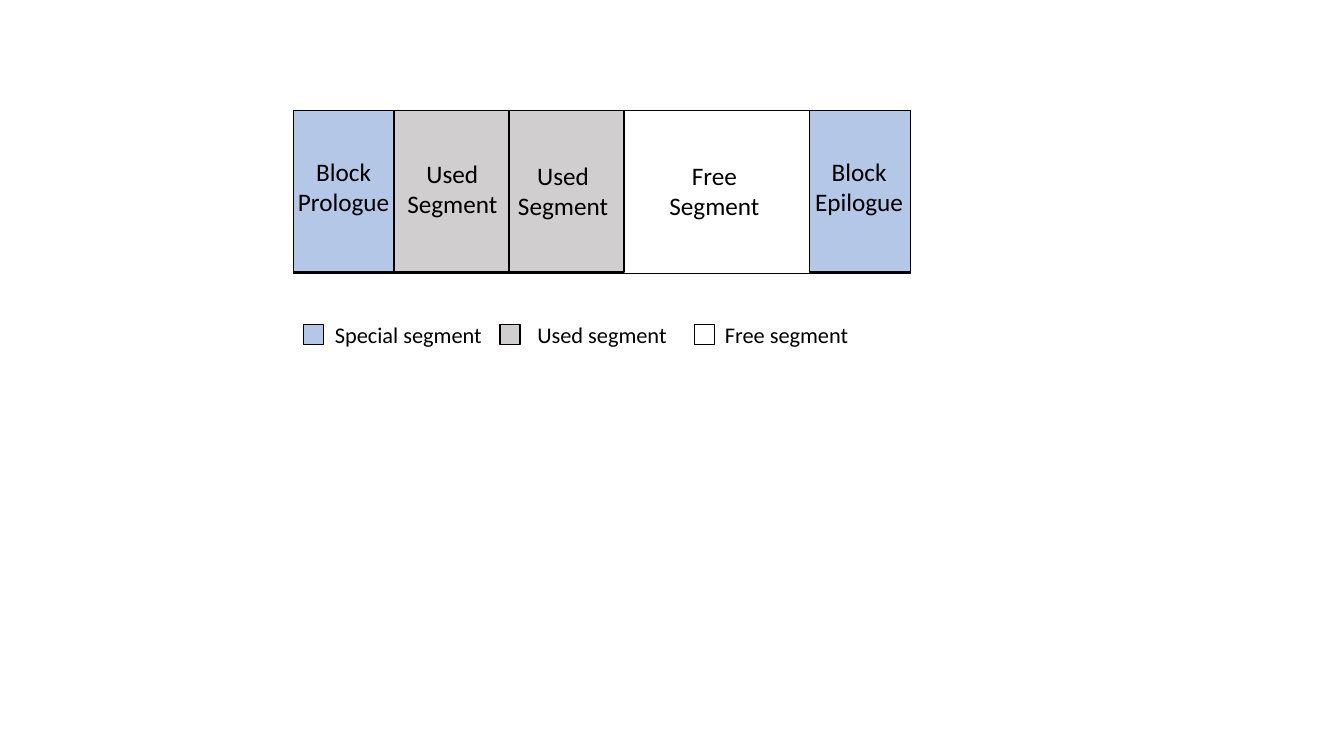
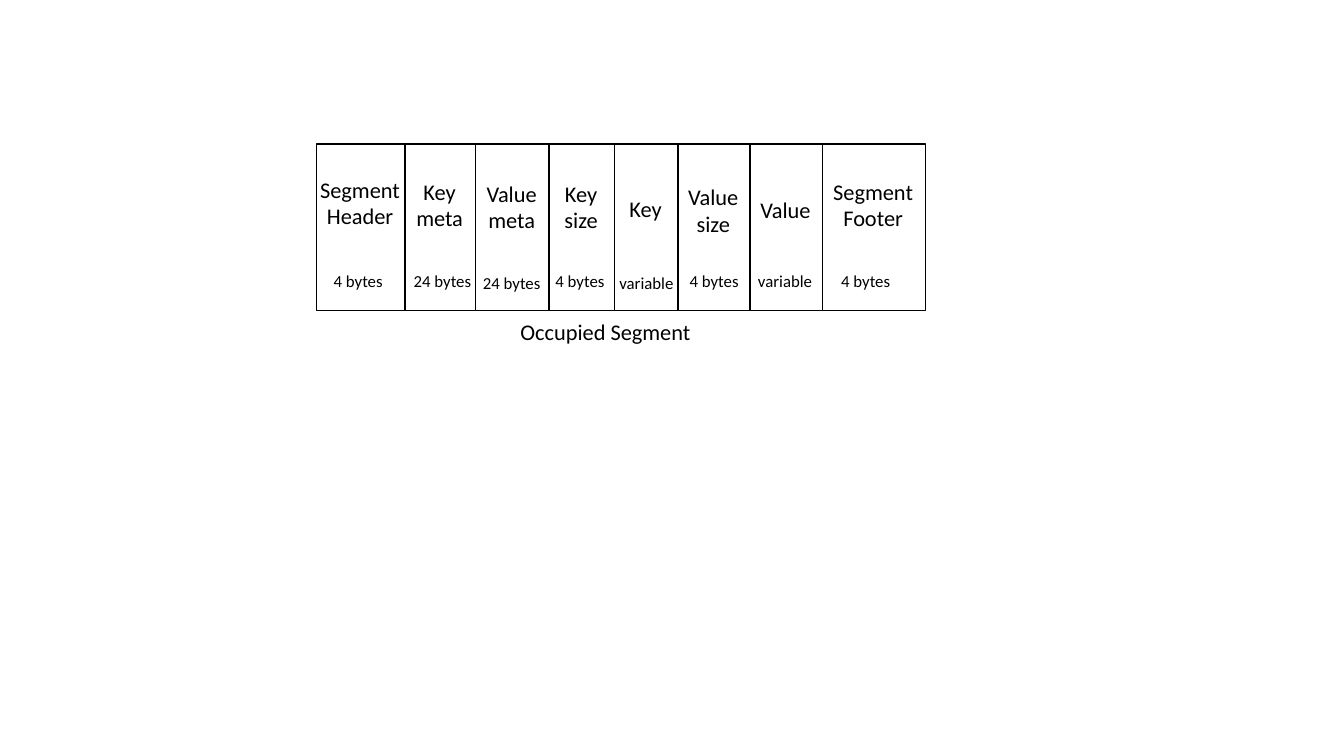
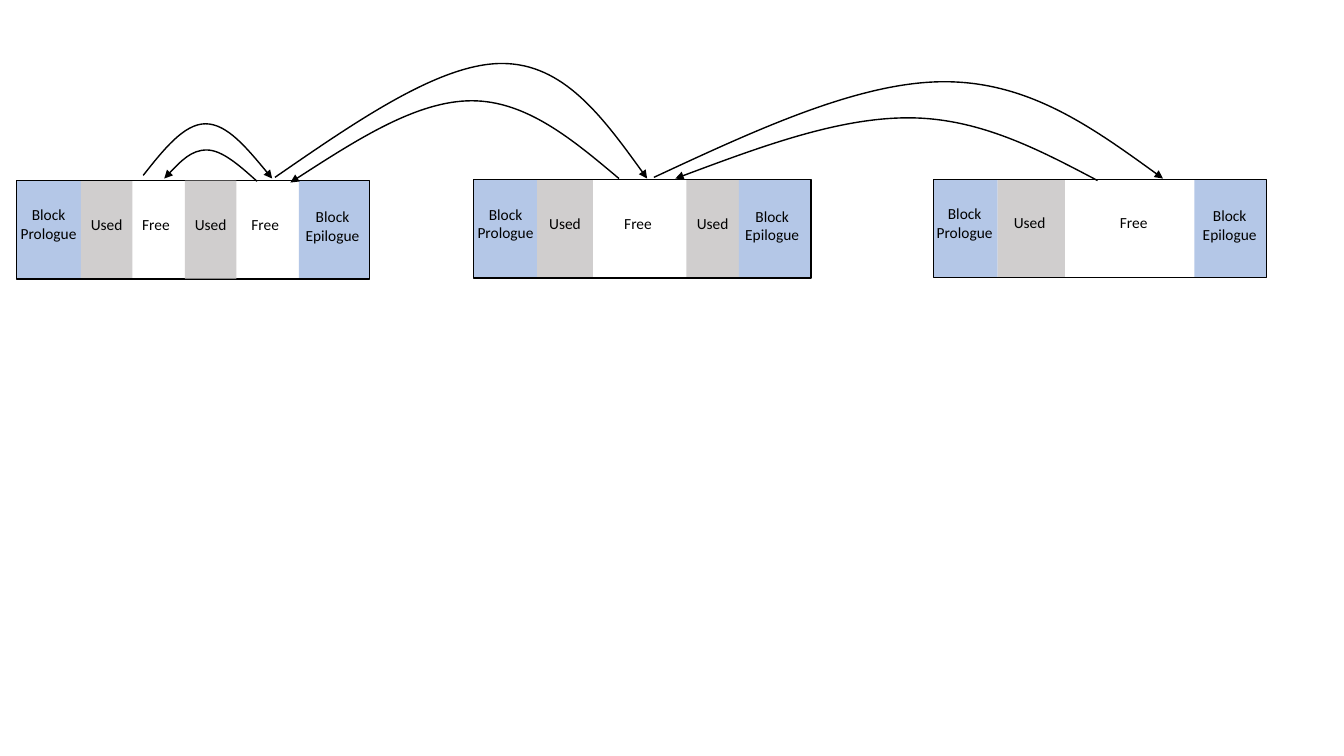
from lxml.etree import SubElement
from pptx import Presentation
from pptx.dml.color import RGBColor
from pptx.enum.shapes import MSO_CONNECTOR, MSO_SHAPE
from pptx.enum.text import MSO_AUTO_SIZE, PP_ALIGN
from pptx.oxml.ns import qn
from pptx.util import Cm, Pt

FONT = "Calibri"
BLACK, WHITE, BLUE, GREY = "000000", "FFFFFF", "B4C7E7", "D0CECE"
PROLOGUE, EPILOGUE = "Block\nPrologue", "Block\nEpilogue"
FILLS = {PROLOGUE: BLUE, EPILOGUE: BLUE, "Used": GREY, "Used\nSegment": GREY}


def color(value):
    return RGBColor.from_string(value)


def outline(shape):
    shape.line.color.rgb = color(BLACK)
    shape.line.width = Pt(1)


def add_box(slide, left, top, width, height, fill=None, outlined=True):
    shape = slide.shapes.add_shape(
        MSO_SHAPE.RECTANGLE, Cm(left), Cm(top), Cm(width), Cm(height))
    shape.shadow.inherit = False
    if fill:
        shape.fill.solid()
        shape.fill.fore_color.rgb = color(fill)
    else:
        shape.fill.background()
    if outlined:
        outline(shape)
    else:
        shape.line.fill.background()


def add_label(slide, text, center_x, center_y, size):
    """Add unwrapped text around a centre, in a box with room for its lines."""
    lines = text.split("\n")
    width = Pt(0.58 * size * max(map(len, lines))) + Cm(0.5)
    height = Pt(1.2 * size * len(lines)) + Cm(0.3)
    box = slide.shapes.add_textbox(
        Cm(center_x) - width // 2, Cm(center_y) - height // 2, width, height)
    frame = box.text_frame
    frame.word_wrap = False
    frame.auto_size = MSO_AUTO_SIZE.SHAPE_TO_FIT_TEXT
    frame.text = text
    for paragraph in frame.paragraphs:
        paragraph.alignment = PP_ALIGN.CENTER
        paragraph.font.name = FONT
        paragraph.font.size = Pt(size)
        paragraph.font.color.rgb = color(BLACK)


def add_divider(slide, x, top, bottom):
    divider = slide.shapes.add_connector(
        MSO_CONNECTOR.STRAIGHT, Cm(x), Cm(top), Cm(x), Cm(bottom))
    outline(divider)
    SubElement(divider._element.spPr, qn("a:effectLst"))


def add_arc(slide, start, peak, end):
    """Draw an arrow of two Bézier curves that is level at its peak."""
    def middle(first, second):
        return (first[0] + second[0]) / 2, (first[1] + second[1]) / 2

    handle = (end[0] - start[0]) / 6
    before = (peak[0] - handle, peak[1])
    after = (peak[0] + handle, peak[1])
    points = [middle(start, before), before, peak, after, middle(after, end), end]
    builder = slide.shapes.build_freeform(Cm(start[0]), Cm(start[1]))
    builder.add_line_segments([(Cm(x), Cm(y)) for x, y in points], close=False)
    shape = builder.convert_to_shape()
    shape.shadow.inherit = False
    shape.fill.background()
    outline(shape)

    geometry = shape._element.find(".//" + qn("a:path"))
    segments = geometry.findall(qn("a:lnTo"))
    for first in range(0, len(segments), 3):
        curve = SubElement(geometry, qn("a:cubicBezTo"))
        for segment in segments[first:first + 3]:
            curve.append(segment[0])
            geometry.remove(segment)
    SubElement(shape.line._get_or_add_ln(), qn("a:tailEnd"), type="triangle")


def build_block_layout(slide):
    left, top, height = 7.39, 2.79, 4.07
    # width, text, label shift right and down
    segments = [
        (2.54, PROLOGUE, 0, 0),
        (2.9, "Used\nSegment", 0.02, 0.05),
        (2.9, "Used\nSegment", -0.09, 0.1),
        (4.67, "Free\nSegment", -0.06, 0.1),
        (2.54, EPILOGUE, -0.02, 0),
    ]
    add_box(slide, left, top, sum(segment[0] for segment in segments), 4.1, WHITE)
    for width, text, shift_x, shift_y in segments:
        if text in FILLS:
            add_box(slide, left, top, width, height, FILLS[text])
        add_label(slide, text, left + width / 2 + shift_x, 4.72 + shift_y, 18)
        left += width

    legend = [
        (7.65, BLUE, "Special segment", 10.29),
        (12.6, GREY, "Used segment", 15.17),
        (17.5, WHITE, "Free segment", 19.82),
    ]
    for swatch_left, fill, text, center_x in legend:
        add_box(slide, swatch_left, 8.18, 0.51, 0.51, fill)
        add_label(slide, text, center_x, 8.45, 16)


def build_occupied_segment(slide):
    left, top, bottom = 7.98, 3.63, 7.83
    # width, name, its centre height, size, its shift right and centre height
    fields = [
        (2.23, "Segment\nHeader", 5.13, "4 bytes", -0.07, 7.09),
        (1.78, "Key\nmeta", 5.18, "24 bytes", 0.05, 7.09),
        (1.85, "Value\nmeta", 5.23, "24 bytes", -0.02, 7.14),
        (1.65, "Key\nsize", 5.23, "4 bytes", -0.05, 7.09),
        (1.6, "Key", 5.27, "variable", 0, 7.14),
        (1.81, "Value\nsize", 5.31, "4 bytes", 0, 7.09),
        (1.83, "Value", 5.3, "variable", -0.03, 7.09),
        (2.59, "Segment\nFooter", 5.18, "4 bytes", -0.21, 7.11),
    ]
    add_box(slide, left, top, sum(field[0] for field in fields), bottom - top, WHITE)
    for index, (width, name, name_y, size, shift_x, size_y) in enumerate(fields):
        if index:
            add_divider(slide, left, top, bottom)
        add_label(slide, name, left + width / 2 - 0.02, name_y, 16)
        add_label(slide, size, left + width / 2 + shift_x, size_y, 12)
        left += width
    add_label(slide, "Occupied Segment", 15.26, 8.38, 16)


def add_block(slide, left, top, segments, raised=None):
    """Draw a framed block; the segment with the raised index covers the frame."""
    height = 2.47
    starts = [left + sum(segment[0] for segment in segments[:index])
              for index in range(len(segments))]

    def add_fill(index):
        width, text, _ = segments[index]
        if text in FILLS:
            add_box(slide, starts[index], top, width, height, FILLS[text], outlined=False)

    for index in range(len(segments)):
        if index != raised:
            add_fill(index)
    add_box(slide, left, top, sum(segment[0] for segment in segments), 2.48)
    if raised is not None:
        add_fill(raised)
    for start, (width, text, shift_x) in zip(starts, segments):
        shift_y = 0.05 if text == EPILOGUE else 0
        add_label(slide, text, start + width / 2 + shift_x, top + 1.12 + shift_y, 11)


def build_linked_blocks(slide):
    # width, text, label shift right
    add_block(slide, 0.41, 4.55, [
        (1.63, PROLOGUE, 0), (1.3, "Used", 0), (1.32, "Free", -0.07),
        (1.3, "Used", 0), (1.57, "Free", -0.06), (1.78, EPILOGUE, -0.04)], raised=3)
    add_block(slide, 11.94, 4.53, [
        (1.6, PROLOGUE, 0), (1.4, "Used", 0), (2.36, "Free", -0.04),
        (1.32, "Used", 0), (1.82, EPILOGUE, -0.07)])
    add_block(slide, 23.52, 4.52, [
        (1.62, PROLOGUE, -0.02), (1.7, "Used", -0.04), (3.26, "Free", 0.1),
        (1.82, EPILOGUE, -0.02)])

    arcs = [
        ((3.61, 4.42), (5.18, 3.12), (6.86, 4.5)),
        ((6.48, 4.57), (5.21, 3.78), (4.14, 4.5)),
        ((6.93, 4.47), (12.65, 1.6), (16.31, 4.5)),
        ((15.6, 4.5), (11.89, 2.54), (7.32, 4.6)),
        ((16.48, 4.47), (23.8, 2.06), (29.31, 4.5)),
        ((27.66, 4.55), (22.89, 2.97), (17.02, 4.5)),
    ]
    for start, peak, end in arcs:
        add_arc(slide, start, peak, end)


def main():
    presentation = Presentation()
    presentation.slide_width = Cm(33.87)
    presentation.slide_height = Cm(19.05)
    blank = presentation.slide_layouts[6]
    for build in (build_block_layout, build_occupied_segment, build_linked_blocks):
        build(presentation.slides.add_slide(blank))
    presentation.save("out.pptx")


if __name__ == "__main__":
    main()
